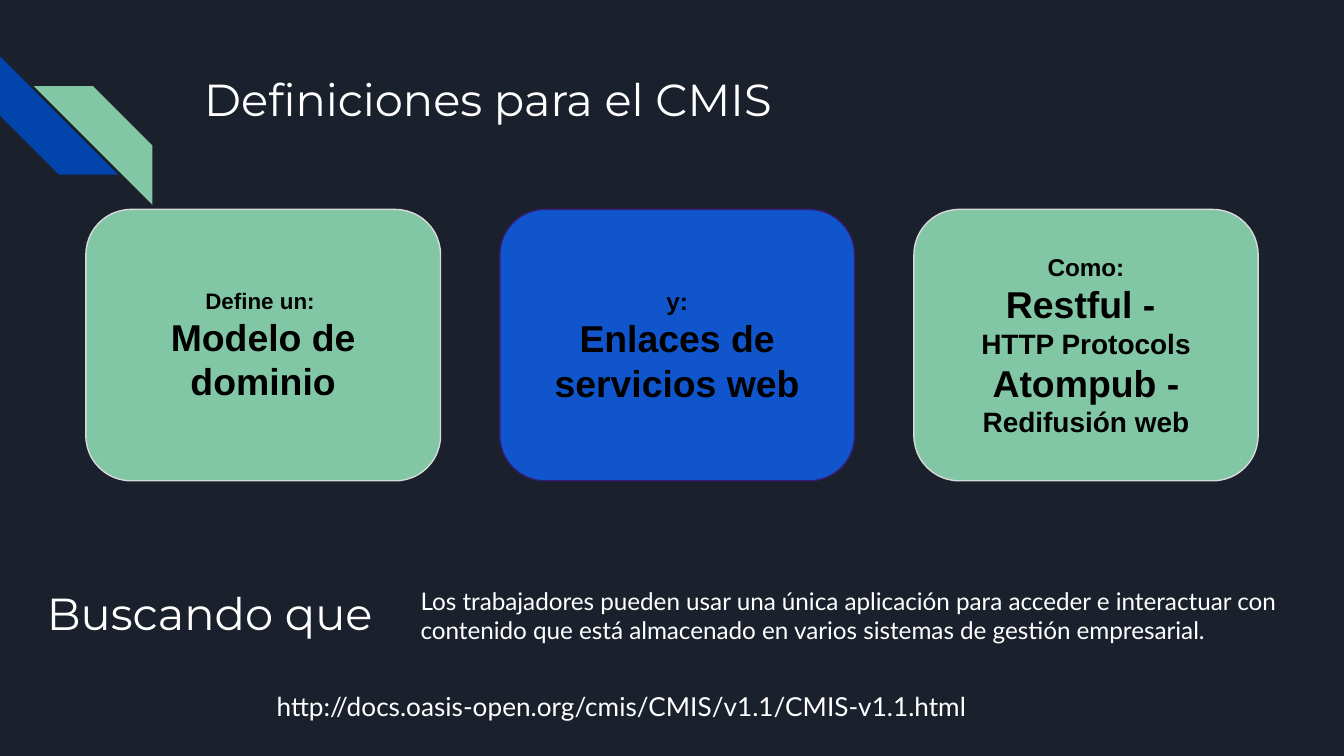
"""Build the CMIS definitions slide."""
from dataclasses import dataclass

from pptx import Presentation
from pptx.dml.color import RGBColor
from pptx.enum.shapes import MSO_SHAPE
from pptx.enum.text import MSO_ANCHOR, MSO_AUTO_SIZE, PP_ALIGN
from pptx.shapes.autoshape import Shape
from pptx.slide import Slide
from pptx.text.text import Font, TextFrame
from pptx.util import Pt

STRIPE = MSO_SHAPE.DIAGONAL_STRIPE
ROUNDED = MSO_SHAPE.ROUNDED_RECTANGLE
TOP, MIDDLE = MSO_ANCHOR.TOP, MSO_ANCHOR.MIDDLE
LEFT, CENTER = PP_ALIGN.LEFT, PP_ALIGN.CENTER
NO_FIT = MSO_AUTO_SIZE.NONE
TITLE_ONLY = 5


@dataclass(frozen=True)
class Theme:
    """Colours, fonts and type sizes of the slide."""
    background: str = "1B212C"
    white: str = "FFFFFF"
    black: str = "000000"
    green: str = "82C7A5"
    navy: str = "0145AC"
    blue: str = "1155CC"
    pale_line: str = "D9D9D9"
    violet_line: str = "351C75"
    heading_font: str = "Montserrat"
    body_font: str = "Lato"
    card_font: str = "Arial"
    heading: int = 24
    term: int = 20
    detail: int = 15
    link: int = 14
    body: int = 13
    small: int = 12


THEME = Theme()


@dataclass(frozen=True)
class Area:
    """A rectangle in points."""
    left: float
    top: float
    width: float
    height: float

    def lengths(self) -> tuple[Pt, Pt, Pt, Pt]:
        """Return the four lengths in slide units."""
        return Pt(self.left), Pt(self.top), Pt(self.width), Pt(self.height)


@dataclass(frozen=True)
class Span:
    """A stretch of text in one size."""
    text: str
    size: int


@dataclass(frozen=True)
class Card:
    """A rounded card with its paragraphs."""
    width: float
    fill: str
    line: str
    paragraphs: tuple[tuple[Span, ...], ...]


@dataclass(frozen=True)
class Stripe:
    """A diagonal corner stripe."""
    left: float
    top: float
    rotation: int
    fill: str


@dataclass(frozen=True)
class Note:
    """A text box of one paragraph."""
    area: Area
    text: str
    font: str
    size: int


STRIPE_SIDE = 63.4
CARD_LEFT, CARD_TOP, CARD_HEIGHT, CARD_PITCH = 46, 112.2, 145.4, 221.8
MARGIN = 7.2
TITLE = Note(Area(102.2, 31, 554.4, 72), "Definiciones para el CMIS",
             THEME.heading_font, THEME.heading)
STRIPES = (
    Stripe(0, 30.2, 270, THEME.navy),
    Stripe(18.2, 46.2, 90, THEME.green),
)
CARDS = (
    Card(190, THEME.green, THEME.pale_line, (
        (Span("Define un: ", THEME.small),),
        (Span("Modelo de dominio", THEME.term),),
    )),
    Card(190, THEME.blue, THEME.violet_line, (
        (Span("y:", THEME.body),),
        (Span("Enlaces de servicios web", THEME.term),),
    )),
    Card(184.4, THEME.green, THEME.pale_line, (
        (Span("Como:", THEME.body),),
        (Span("Restful - ", THEME.term),),
        (Span("HTTP Protocols", THEME.detail),),
        (Span("Atompub - ", THEME.term), Span("Redifusión web", THEME.detail)),
    )),
)
NOTES = (
    Note(Area(218.2, 306.7, 494, 67),
         "Los trabajadores pueden usar una única aplicación para acceder e "
         "interactuar con contenido que está almacenado en varios sistemas "
         "de gestión empresarial.", THEME.body_font, THEME.body),
    Note(Area(18, 306.7, 200.2, 45.4), "Buscando que ",
         THEME.heading_font, THEME.heading),
    Note(Area(141.1, 362.9, 394.6, 39.6),
         "http://docs.oasis-open.org/cmis/CMIS/v1.1/CMIS-v1.1.html",
         THEME.body_font, THEME.link),
)


def rgb(value: str) -> RGBColor:
    """Turn a hex string into a colour."""
    return RGBColor.from_string(value)


def style_font(font: Font, name: str, color: str) -> None:
    """Set a typeface and colour."""
    font.name = name
    font.color.rgb = rgb(color)


def prepare_frame(frame: TextFrame, anchor: MSO_ANCHOR) -> None:
    """Set wrapping, fitting, margins and anchor."""
    frame.word_wrap = True
    frame.auto_size = NO_FIT
    frame.vertical_anchor = anchor
    frame.margin_left = frame.margin_right = Pt(MARGIN)
    frame.margin_top = frame.margin_bottom = Pt(MARGIN)


def write_note(box: Shape, note: Note) -> None:
    """Place a text box or placeholder and write its text."""
    box.left, box.top, box.width, box.height = note.area.lengths()
    prepare_frame(box.text_frame, TOP)
    para = box.text_frame.paragraphs[0]
    para.text = note.text
    para.alignment = LEFT
    para.font.size = Pt(note.size)
    style_font(para.font, note.font, THEME.white)


def add_filled(page: Slide, kind: MSO_SHAPE, area: Area, fill: str) -> Shape:
    """Add a flat shape without an outline."""
    shape = page.shapes.add_shape(kind, *area.lengths())
    shape.shadow.inherit = False
    shape.fill.solid()
    shape.fill.fore_color.rgb = rgb(fill)
    shape.line.fill.background()
    return shape


def add_stripe(page: Slide, stripe: Stripe) -> None:
    """Add a corner stripe."""
    area = Area(stripe.left, stripe.top, STRIPE_SIDE, STRIPE_SIDE)
    add_filled(page, STRIPE, area, stripe.fill).rotation = stripe.rotation


def add_card(page: Slide, card: Card, column: int) -> None:
    """Add a card in its column."""
    left = CARD_LEFT + column * CARD_PITCH
    area = Area(left, CARD_TOP, card.width, CARD_HEIGHT)
    box = add_filled(page, ROUNDED, area, card.fill)
    box.line.color.rgb = rgb(card.line)
    box.line.width = Pt(0.75)
    frame = box.text_frame
    prepare_frame(frame, MIDDLE)
    for index, spans in enumerate(card.paragraphs):
        para = frame.add_paragraph() if index else frame.paragraphs[0]
        para.alignment = CENTER
        para.font.bold = True
        style_font(para.font, THEME.card_font, THEME.black)
        for span in spans:
            run = para.add_run()
            run.text = span.text
            run.font.size = Pt(span.size)


def main() -> None:
    """Build and save the deck."""
    deck = Presentation()
    deck.slide_width, deck.slide_height = Pt(720), Pt(405)
    page = deck.slides.add_slide(deck.slide_layouts[TITLE_ONLY])
    page.background.fill.solid()
    page.background.fill.fore_color.rgb = rgb(THEME.background)
    write_note(page.shapes.title, TITLE)
    for stripe in STRIPES:
        add_stripe(page, stripe)
    for column, card in enumerate(CARDS):
        add_card(page, card, column)
    for note in NOTES:
        write_note(page.shapes.add_textbox(*note.area.lengths()), note)
    deck.save("out.pptx")


main()
